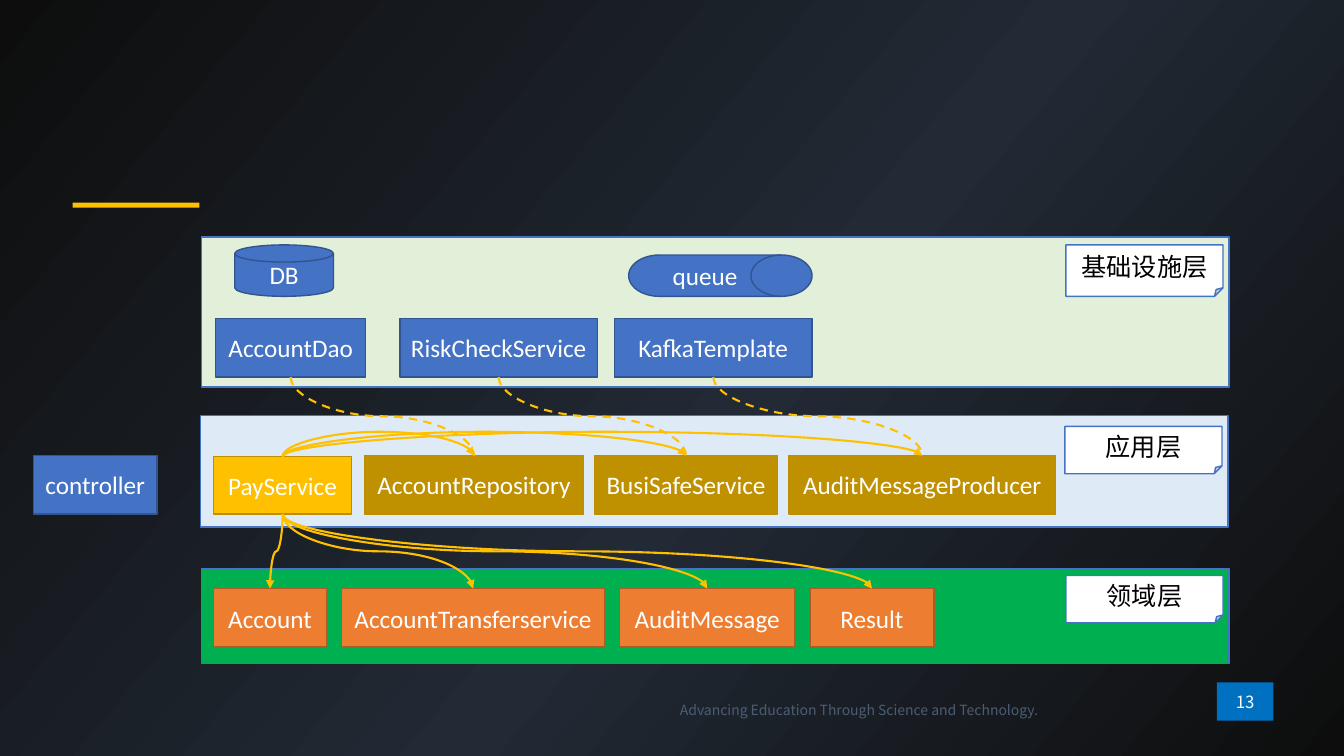
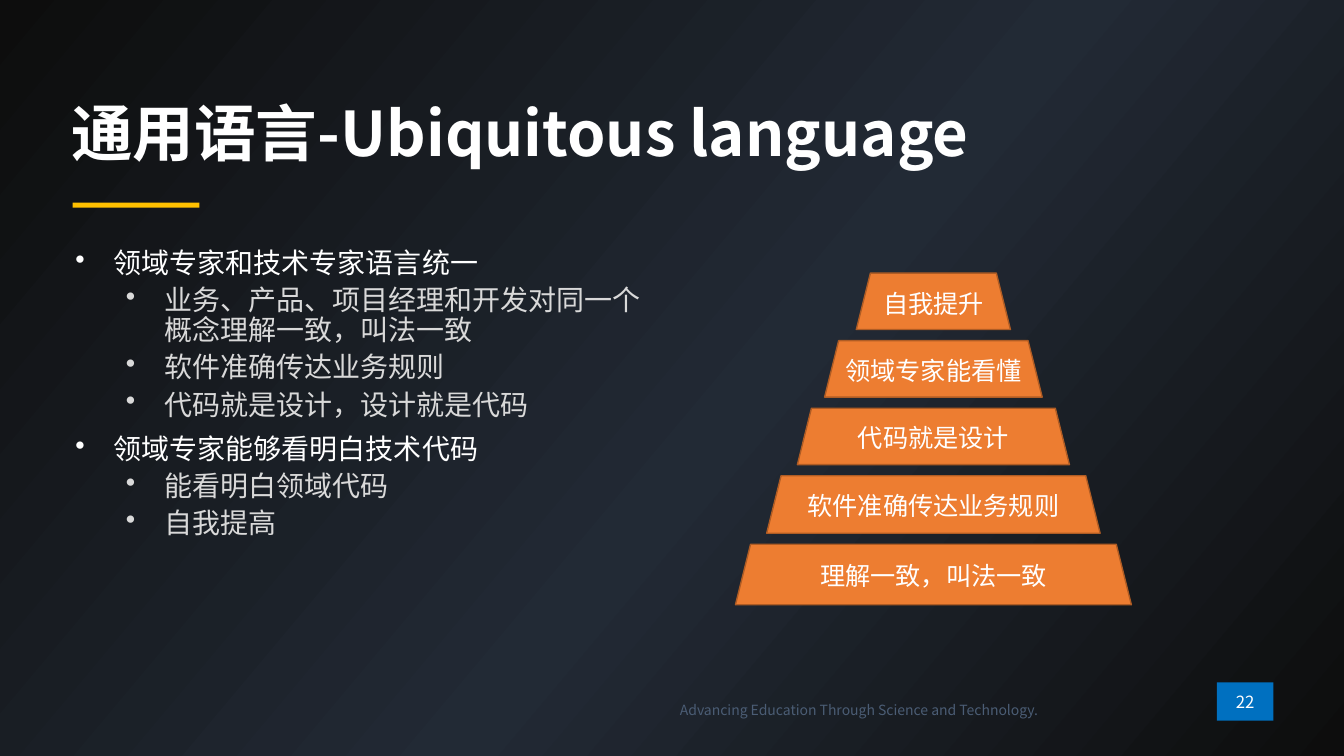
from lxml import etree
from pptx import Presentation
from pptx.dml.color import RGBColor
from pptx.enum.dml import MSO_LINE
from pptx.enum.shapes import MSO_CONNECTOR, MSO_SHAPE
from pptx.enum.text import MSO_ANCHOR, PP_ALIGN
from pptx.oxml.ns import qn
from pptx.util import Pt

RECTANGLE = MSO_SHAPE.RECTANGLE
DISK = MSO_SHAPE.FLOWCHART_MAGNETIC_DISK
DRUM = MSO_SHAPE.FLOWCHART_DIRECT_ACCESS_STORAGE
NOTE = MSO_SHAPE.FOLDED_CORNER
TRAPEZOID = MSO_SHAPE.TRAPEZOID
CURVE = MSO_CONNECTOR.CURVE
DASH = MSO_LINE.DASH
MIDDLE = MSO_ANCHOR.MIDDLE
LEFT, CENTER, RIGHT = PP_ALIGN.LEFT, PP_ALIGN.CENTER, PP_ALIGN.RIGHT

EMU_PER_PX = 9144
TOP_SITE, BOTTOM_SITE = 0, 2
LATIN_FONT = "Calibri"
HAN_FONT = "Noto Sans CJK SC"
COLORS = {
    "night": "0D0D0D", "dusk": "222A35", "white": "FFFFFF", "black": "000000",
    "muted": "D9D9D9", "footer": "4B5D75", "badge": "0070C0",
    "gold": "FFC000", "dark_gold": "BF9000", "gold_edge": "BD8E00",
    "blue": "4472C4", "blue_edge": "325491",
    "orange": "ED7D31", "orange_edge": "AF5C24",
    "infrastructure": "E2F0D9", "application": "DEEBF7", "domain": "00B050",
}
BLUE_STYLE = ("blue", "blue_edge")
GOLD_STYLE = ("gold", "gold_edge")
DARK_GOLD_STYLE = ("dark_gold", "gold_edge")
ORANGE_STYLE = ("orange", "orange_edge")
NOTE_STYLE = ("white", "blue")

UBIQUITOUS_POINTS = [
    (0, "领域专家和技术专家语言统一"),
    (1, "业务、产品、项目经理和开发对同一个概念理解一致，叫法一致"),
    (1, "软件准确传达业务规则"),
    (1, "代码就是设计，设计就是代码"),
    (0, "领域专家能够看明白技术代码"),
    (1, "能看明白领域代码"),
    (1, "自我提高"),
]
PYRAMID_STEPS = [
    ("自我提升", 153, 56),
    ("领域专家能看懂", 216, 56),
    ("代码就是设计", 270, 56),
    ("软件准确传达业务规则", 331, 57),
    ("理解一致，叫法一致", 393, 60),
]


def px(length):
    """Turn px into EMU."""
    return round(length * EMU_PER_PX)


def color(name):
    """Look up a palette colour."""
    return RGBColor.from_string(COLORS[name])


def style_para(para, size, ink, face, align=LEFT, bold=False):
    """Set the font and alignment of a whole paragraph."""
    para.alignment = align
    para.font.size = Pt(size)
    para.font.bold = bold
    para.font.name = face
    para.font.color.rgb = color(ink)
    properties = para._p.get_or_add_pPr().find(qn("a:defRPr"))
    etree.SubElement(properties, qn("a:ea"), typeface=HAN_FONT)


def add_block(page, kind, box, style, text="", ink="white", size=18, face=LATIN_FONT):
    """Draw a preset shape with optional centred text."""
    fill, edge = style
    block = page.shapes.add_shape(kind, *map(px, box))
    block.shadow.inherit = False
    block.fill.solid()
    block.fill.fore_color.rgb = color(fill)
    if edge:
        block.line.color.rgb = color(edge)
        block.line.width = Pt(1)
    else:
        block.line.fill.background()
    if text:
        block.text_frame.vertical_anchor = MIDDLE
        para = block.text_frame.paragraphs[0]
        para.text = text
        style_para(para, size, ink, face, CENTER)
    return block


def add_text_frame(page, box):
    """Add a wrapping text box and return its frame."""
    frame = page.shapes.add_textbox(*map(px, box)).text_frame
    frame.word_wrap = True
    return frame


def set_background(deck):
    """Give the master its diagonal gradient."""
    master = deck.slide_master
    fill = master.background.fill
    fill.gradient()
    fill.gradient_angle = 320
    stop_list = master.element.find(".//" + qn("p:bg")).find(".//" + qn("a:gsLst"))
    for stop in list(stop_list):
        stop_list.remove(stop)
    for percent, name in ((0, "night"), (55, "dusk"), (100, "night")):
        stop = etree.SubElement(stop_list, qn("a:gs"), pos=str(percent * 1000))
        etree.SubElement(stop, qn("a:srgbClr"), val=COLORS[name])


def add_page(deck, number):
    """Add a blank page with the shared footer, number and accent bar."""
    page = deck.slides.add_slide(deck.slide_layouts[6])
    add_block(page, RECTANGLE, (1208, 677, 56, 38), ("badge", None), str(number),
              size=12, face=HAN_FONT)
    para = add_text_frame(page, (461, 691, 579, 27)).paragraphs[0]
    para.text = "Advancing Education Through Science and Technology."
    style_para(para, 10, "footer", HAN_FONT, RIGHT)
    add_block(page, RECTANGLE, (72, 201, 126, 5), ("gold", None))
    return page


def add_layer(page, box, fill, label, label_top, label_height):
    """Draw an architecture layer with its name tag at the right."""
    left, top, width, height = box
    add_block(page, RECTANGLE, box, (fill, "blue"))
    tag_box = (left + width - 162, top + label_top, 156, label_height)
    add_block(page, NOTE, tag_box, NOTE_STYLE, label, "black")


def add_row(page, left, top, height, gap, style, cells):
    """Draw named boxes from left to right with equal gaps."""
    blocks = []
    for name, width in cells:
        blocks.append(add_block(page, RECTANGLE, (left, top, width, height), style, name))
        left += width + gap
    return blocks


def add_curve(page, source, source_site, target, dashed=False, bend=None):
    """Join two boxes with a curve that leaves and arrives vertically."""
    curve = page.shapes.add_connector(CURVE, 0, 0, 0, 0)
    curve.begin_connect(source, source_site)
    curve.end_connect(target, TOP_SITE)
    start_x, start_y, end_x, end_y = curve.begin_x, curve.begin_y, curve.end_x, curve.end_y
    across, down = end_x - start_x, end_y - start_y
    curve.width, curve.height = abs(down), abs(across)
    curve.left = (start_x + end_x - abs(down)) // 2
    curve.top = (start_y + end_y - abs(across)) // 2

    if down < 0:
        turn, flip_h, flip_v = 90, 1, 1
    elif across < 0:
        turn, flip_h, flip_v = 90, 0, 0
    else:
        turn, flip_h, flip_v = 270, 1, 0
    properties = curve.element.spPr
    frame = properties.find(qn("a:xfrm"))
    frame.set("rot", str(turn * 60000))
    frame.set("flipH", str(flip_h))
    frame.set("flipV", str(flip_v))
    if bend:
        guides = properties.find(".//" + qn("a:avLst"))
        etree.SubElement(guides, qn("a:gd"), name="adj1", fmla=f"val {bend * 100000}")

    curve.line.color.rgb = color("gold")
    curve.line.width = Pt(1.5)
    if dashed:
        curve.line.dash_style = DASH
    else:
        etree.SubElement(properties.find(qn("a:ln")), qn("a:tailEnd"), type="triangle")
    etree.SubElement(properties, qn("a:effectLst"))


def add_infrastructure(page, box):
    """Draw the infrastructure layer and return its adapters."""
    left, top = box[:2]
    add_layer(page, box, "infrastructure", "基础设施层", 8, 51)
    add_block(page, DISK, (left + 33, top + 8, 98, 51), BLUE_STYLE, "DB")
    add_block(page, DRUM, (left + 424, top + 18, 182, 41), BLUE_STYLE, "queue")
    row_top = top + 81
    storage = add_row(page, left + 14, row_top, 58, 0, BLUE_STYLE, [("AccountDao", 149)])
    remote = add_row(page, left + 197, row_top, 58, 17, BLUE_STYLE,
                     [("RiskCheckService", 196), ("KafkaTemplate", 196)])
    return storage + remote


def add_application(page, box):
    """Draw the application layer and return its service and ports."""
    left, top = box[:2]
    add_layer(page, box, "application", "应用层", 11, 47)
    service = add_block(page, RECTANGLE, (left + 13, top + 41, 137, 57),
                        GOLD_STYLE, "PayService")
    ports = add_row(page, left + 163, top + 40, 58, 11, DARK_GOLD_STYLE,
                    [("AccountRepository", 217), ("BusiSafeService", 182),
                     ("AuditMessageProducer", 265)])
    return service, ports


def add_domain(page, box):
    """Draw the domain layer and return its entities."""
    left, top = box[:2]
    add_layer(page, box, "domain", "领域层", 7, 47)
    return add_row(page, left + 12, top + 20, 58, 15, ORANGE_STYLE,
                   [("Account", 112), ("AccountTransferservice", 261),
                    ("AuditMessage", 174), ("Result", 123)])


def build_architecture(deck):
    """Build the layered architecture page."""
    page = add_page(deck, 13)
    add_block(page, RECTANGLE, (33, 452, 123, 58), BLUE_STYLE, "controller")
    service, ports = add_application(page, (199, 412, 1020, 111))
    entities = add_domain(page, (200, 564, 1020, 94))
    adapters = add_infrastructure(page, (200, 235, 1020, 149))
    for entity in entities:
        add_curve(page, service, BOTTOM_SITE, entity)
    for port in ports:
        add_curve(page, service, TOP_SITE, port, bend=25)
    for adapter, port in zip(adapters, ports):
        add_curve(page, adapter, BOTTOM_SITE, port, dashed=True)


def add_title(page, box, text):
    """Write the page title."""
    frame = add_text_frame(page, box)
    frame.vertical_anchor = MIDDLE
    para = frame.paragraphs[0]
    para.text = text
    para.line_spacing = 0.9
    style_para(para, 44, "white", HAN_FONT, bold=True)


def add_bullets(page, box, points):
    """Write a two-level bullet list."""
    frame = add_text_frame(page, box)
    for index, (level, text) in enumerate(points):
        para = frame.add_paragraph() if index else frame.paragraphs[0]
        para.text = text
        para.level = level
        properties = para._p.get_or_add_pPr()
        properties.set("marL", str(px(38 + 50 * level)))
        properties.set("indent", str(px(-38)))
        etree.SubElement(properties, qn("a:buChar"), char="•")
        para.line_spacing = 0.9
        if index:
            para.space_before = Pt(5 if level else 10)
        style_para(para, 20, "muted" if level else "white", HAN_FONT)


def add_pyramid(page, box, gap, steps):
    """Stack centred trapezoids from the top of the box."""
    left, top, width = box
    for text, step_width, height in steps:
        step_box = (left + (width - step_width) / 2, top, step_width, height)
        add_block(page, TRAPEZOID, step_box, ORANGE_STYLE, text)
        top += height + gap


def build_language(deck):
    """Build the ubiquitous language page."""
    page = add_page(deck, 22)
    add_title(page, (61, 92, 1197, 86), "通用语言-Ubiquitous language")
    add_bullets(page, (65, 242, 595, 392), UBIQUITOUS_POINTS)
    add_pyramid(page, (730, 271, 393), 11, PYRAMID_STEPS)


def main():
    """Build and save the deck."""
    deck = Presentation()
    deck.slide_width, deck.slide_height = px(1334), px(750)
    set_background(deck)
    build_architecture(deck)
    build_language(deck)
    deck.save("out.pptx")


if __name__ == "__main__":
    main()
